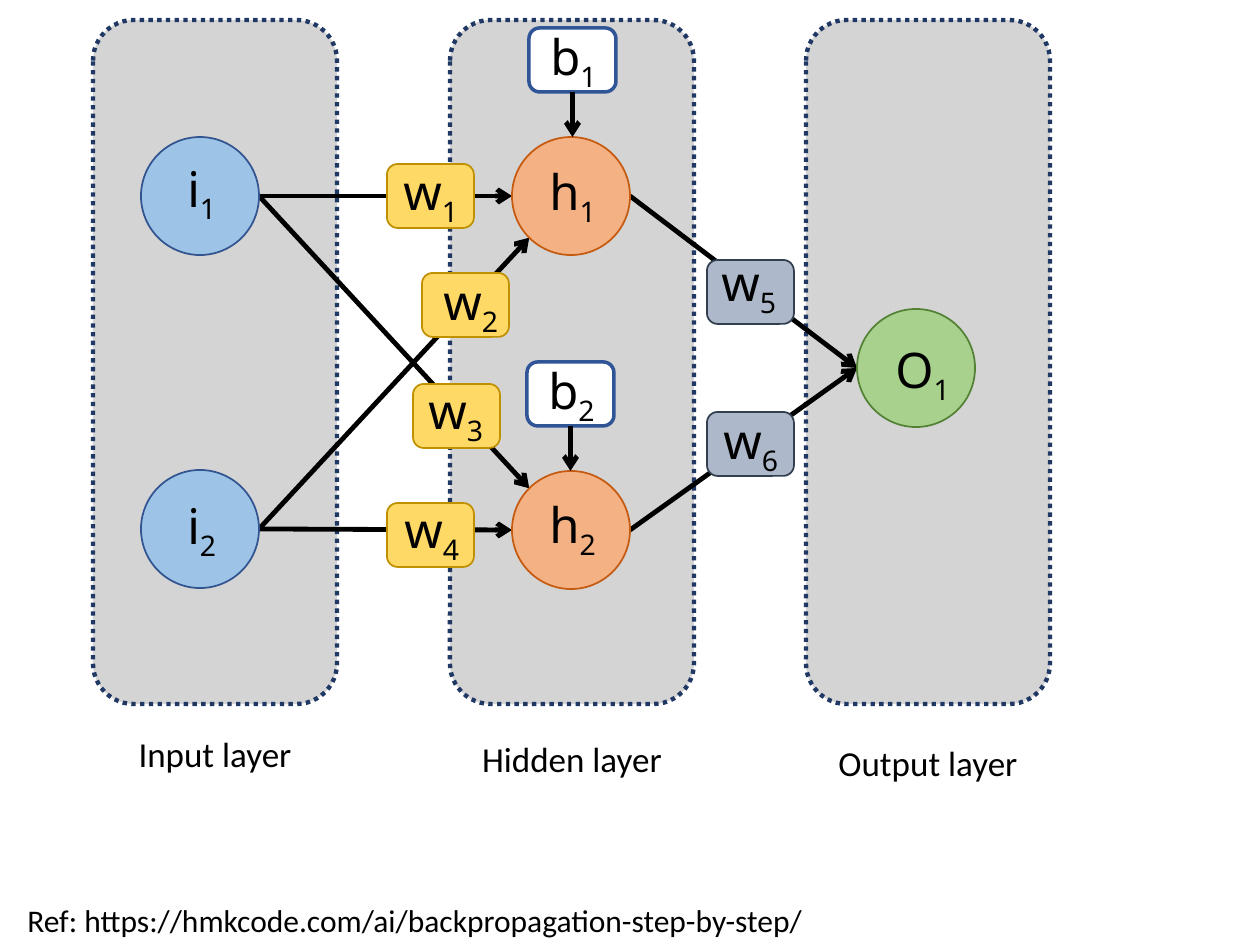
"""Build a slide showing a small neural network with its weights and biases."""
import math

import pptx
import pptx.dml.color
import pptx.enum.dml
import pptx.enum.shapes
import pptx.enum.text
import pptx.oxml
import pptx.oxml.ns
import pptx.util

RGBColor = pptx.dml.color.RGBColor
Shapes = pptx.enum.shapes.MSO_SHAPE
Align = pptx.enum.text.PP_ALIGN

BLACK = RGBColor(0x00, 0x00, 0x00)
WHITE = RGBColor(0xFF, 0xFF, 0xFF)
GRAY = RGBColor(0xBF, 0xBF, 0xBF)
NAVY = RGBColor(0x20, 0x38, 0x64)
BLUE = RGBColor(0x9D, 0xC3, 0xE6)
BLUE_EDGE = RGBColor(0x32, 0x54, 0x91)
ORANGE = RGBColor(0xF4, 0xB1, 0x83)
ORANGE_EDGE = RGBColor(0xC5, 0x5A, 0x11)
GREEN = RGBColor(0xA9, 0xD1, 0x8E)
GREEN_EDGE = RGBColor(0x54, 0x82, 0x35)
YELLOW = RGBColor(0xFF, 0xD9, 0x66)
YELLOW_EDGE = RGBColor(0xBF, 0x90, 0x00)
SLATE = RGBColor(0xAD, 0xB9, 0xCA)
SLATE_EDGE = RGBColor(0x33, 0x3F, 0x50)
BIAS_EDGE = RGBColor(0x2F, 0x55, 0x97)

SCALE = 914400 / 126
SLIDE_SIZE = (1260, 945)
LAYER_TOP, LAYER_WIDTH, LAYER_HEIGHT = 20, 244, 684
NODE_SIZE = 118
TAG_WIDTH, TAG_HEIGHT = 87, 64
SYMBOL_HEIGHT = 72
SYMBOL_WIDTHS = {"i": 60, "h": 77, "O": 84, "w": 84, "b": 76}

LAYERS = [
    ("Input layer", 93, 726),
    ("Hidden layer", 450, 731),
    ("Output layer", 806, 735),
]
NODES = {
    "i1": ((141, 137), (175, 152), BLUE, BLUE_EDGE),
    "i2": ((141, 470), (175, 489), BLUE, BLUE_EDGE),
    "h1": ((512, 137), (537, 155), ORANGE, ORANGE_EDGE),
    "h2": ((512, 471), (537, 488), ORANGE, ORANGE_EDGE),
    "O1": ((857, 309), (883, 333), GREEN, GREEN_EDGE),
}
EDGES = [
    ("h1", "O1", 180),
    ("h2", "O1", 180),
    ("i1", "h1", 180),
    ("i1", "h2", 225),
    ("i2", "h1", 135),
    ("i2", "h2", 180),
]
WEIGHTS = {
    "w1": ((387, 164), (391, 155), YELLOW, YELLOW_EDGE),
    "w2": ((422, 273), (431, 265), YELLOW, YELLOW_EDGE),
    "w3": ((413, 384), (416, 374), YELLOW, YELLOW_EDGE),
    "w4": ((387, 503), (392, 493), YELLOW, YELLOW_EDGE),
    "w5": ((707, 260), (709, 246), SLATE, SLATE_EDGE),
    "w6": ((707, 412), (711, 404), SLATE, SLATE_EDGE),
}
BIASES = {
    "b1": ((529, 28), (538, 20), "h1"),
    "b2": ((527, 362), (536, 354), "h2"),
}
REFERENCE = "Ref: https://hmkcode.com/ai/backpropagation-step-by-step/"


def emu(*lengths):
    return [pptx.util.Emu(round(length * SCALE)) for length in lengths]


def add_box(slide, kind, box, fill, edge, edge_width=1):
    shape = slide.shapes.add_shape(kind, *emu(*box))
    shape.shadow.inherit = False
    shape.fill.solid()
    shape.fill.fore_color.rgb = fill
    shape.line.color.rgb = edge
    shape.line.width = pptx.util.Pt(edge_width)
    return shape


def add_text(slide, text, box, *, subscript="", font="Calibri", size=20,
             align=Align.LEFT, wrap=True):
    frame = slide.shapes.add_textbox(*emu(*box)).text_frame
    frame.word_wrap = wrap
    frame.auto_size = pptx.enum.text.MSO_AUTO_SIZE.SHAPE_TO_FIT_TEXT
    paragraph = frame.paragraphs[0]
    paragraph.alignment = align
    for part in filter(None, (text, subscript)):
        run = paragraph.add_run()
        run.text = part
        run.font.name = font
        run.font.size = pptx.util.Pt(size)
        run.font.color.rgb = BLACK
    if subscript:
        run._r.get_or_add_rPr().set("baseline", "-25000")


def add_symbol(slide, name, position):
    letter, index = name
    add_text(slide, letter, (*position, SYMBOL_WIDTHS[letter], SYMBOL_HEIGHT),
             subscript=index, font="Noto Sans", size=28, wrap=False)


def add_arrow(slide, start, end):
    connector = slide.shapes.add_connector(
        pptx.enum.shapes.MSO_CONNECTOR.STRAIGHT, *emu(*start, *end))
    connector.line.color.rgb = BLACK
    connector.line.width = pptx.util.Pt(2.75)
    line = connector.line._get_or_add_ln()
    pptx.oxml.ns.qn("a:tailEnd")
    line.append(line.makeelement(pptx.oxml.ns.qn("a:tailEnd"), {"type": "arrow"}))
    properties = connector._element.spPr
    properties.append(properties.makeelement(pptx.oxml.ns.qn("a:effectLst"), {}))
    return connector


def node_point(name, degrees):
    left, top = NODES[name][0]
    radius, angle = NODE_SIZE / 2, math.radians(degrees)
    return (left + radius * (1 + math.cos(angle)),
            top + radius * (1 + math.sin(angle)))


def add_layer(slide, left):
    layer = add_box(slide, Shapes.ROUNDED_RECTANGLE,
                    (left, LAYER_TOP, LAYER_WIDTH, LAYER_HEIGHT), GRAY, NAVY, 2.5)
    layer.line.dash_style = pptx.enum.dml.MSO_LINE.ROUND_DOT
    color = layer._element.spPr.find(
        pptx.oxml.ns.qn("a:solidFill")).find(pptx.oxml.ns.qn("a:srgbClr"))
    color.append(color.makeelement(pptx.oxml.ns.qn("a:alpha"), {"val": "67000"}))


def main():
    presentation = pptx.Presentation()
    presentation.slide_width, presentation.slide_height = emu(*SLIDE_SIZE)
    slide = presentation.slides.add_slide(presentation.slide_layouts[6])

    for _, left, _ in LAYERS:
        add_layer(slide, left)
    for source, target, degrees in EDGES:
        add_arrow(slide, node_point(source, 0), node_point(target, degrees))
    for name, (corner, symbol, fill, edge) in NODES.items():
        add_box(slide, Shapes.OVAL, (*corner, NODE_SIZE, NODE_SIZE), fill, edge)
        add_symbol(slide, name, symbol)
    for name, (corner, symbol, fill, edge) in WEIGHTS.items():
        add_box(slide, Shapes.ROUNDED_RECTANGLE,
                (*corner, TAG_WIDTH, TAG_HEIGHT), fill, edge)
        add_symbol(slide, name, symbol)
    for name, (corner, symbol, target) in BIASES.items():
        bias = add_box(slide, Shapes.ROUNDED_RECTANGLE,
                       (*corner, TAG_WIDTH, TAG_HEIGHT), WHITE, BIAS_EDGE, 2)
        add_symbol(slide, name, symbol)
        middle = corner[0] + TAG_WIDTH / 2
        arrow = add_arrow(slide, (middle, corner[1] + TAG_HEIGHT),
                          (middle, NODES[target][0][1]))
        arrow.begin_connect(bias, 2)
    for label, left, top in LAYERS:
        add_text(slide, label, (left, top, LAYER_WIDTH, 55), align=Align.CENTER)
    add_text(slide, REFERENCE, (15, 895, 1198, 50), size=18)

    presentation.save("out.pptx")


if __name__ == "__main__":
    main()
